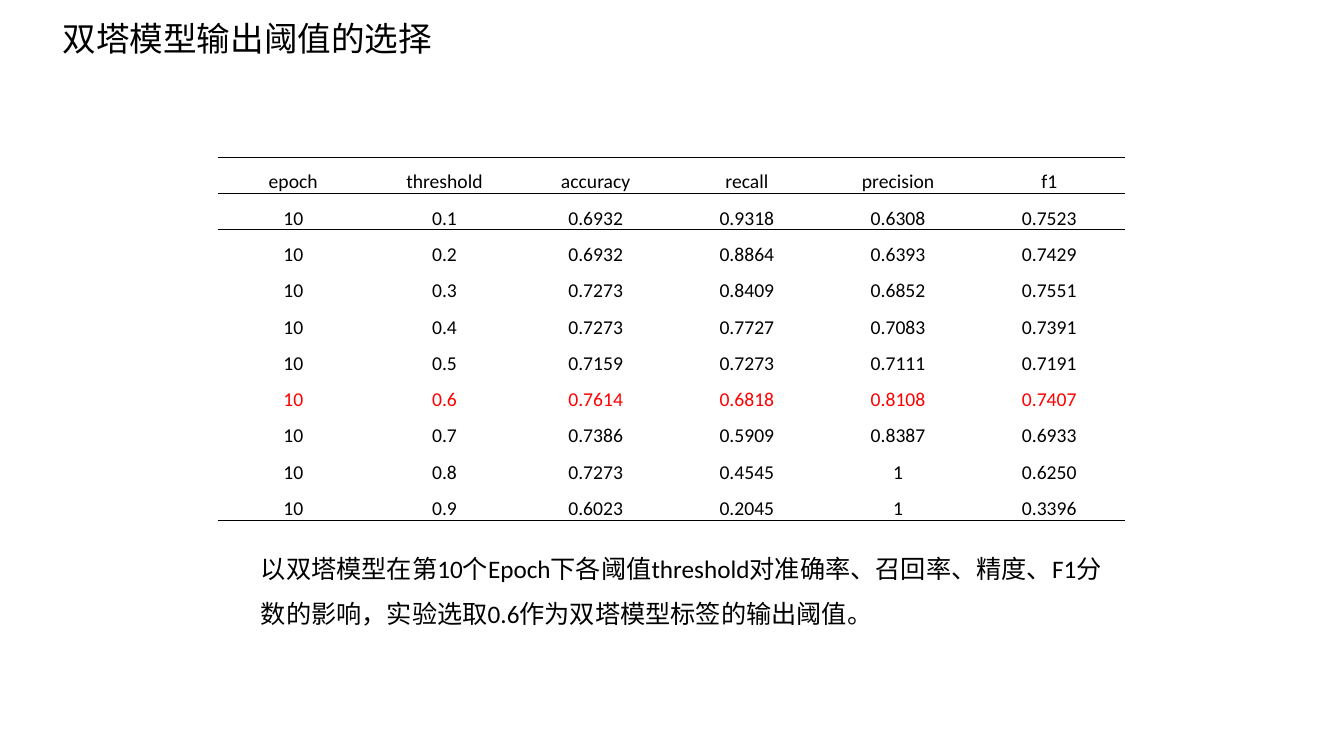
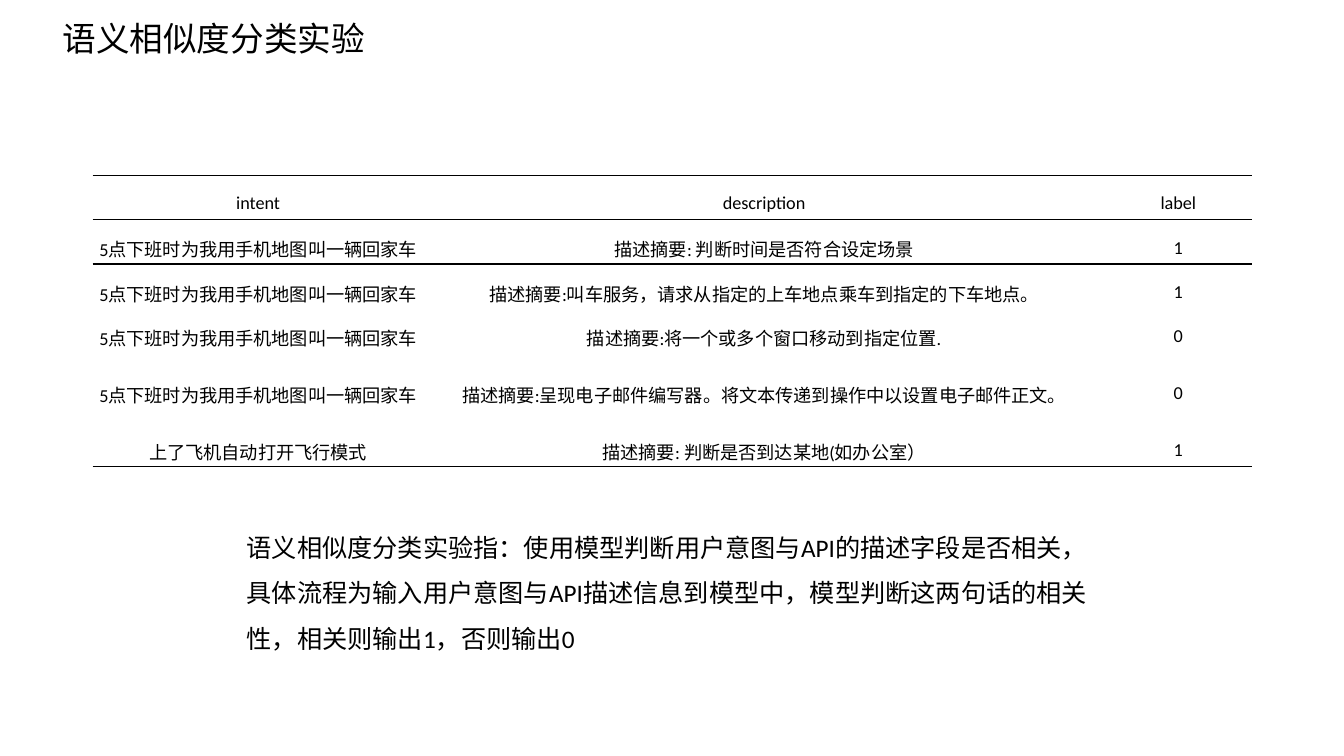
import pptx
import pptx.util
import pptx.dml.color
import pptx.enum.text
import pptx.oxml
import pptx.oxml.ns

PX = 9144  # 100 px to the inch
FONT = "Calibri"
COLORS = {"text": "000000", "accent": "FF0000"}
NO_TABLE_STYLE = "{2D5ABB26-0587-4C30-8999-92F81FD0307C}"
ALIGN = pptx.enum.text.PP_ALIGN
ANCHOR = pptx.enum.text.MSO_ANCHOR
AUTO_SIZE = pptx.enum.text.MSO_AUTO_SIZE


def px(n):
    return pptx.util.Emu(n * PX)


def write(tf, text, size, color="text", align=ALIGN.LEFT, spacing=1.0):
    tf.text = text
    p = tf.paragraphs[0]
    p.alignment = align
    p.line_spacing = spacing
    font = p.runs[0].font
    font.name = FONT
    font.size = pptx.util.Pt(size)
    font.color.rgb = pptx.dml.color.RGBColor.from_string(COLORS[color])


def add_title(slide, text, width):
    sp = slide.shapes.title
    sp.left, sp.top, sp.width, sp.height = px(52), px(13), px(width), px(50)
    tf = sp.text_frame
    write(tf, text, 24)
    tf.word_wrap = False
    tf.auto_size = AUTO_SIZE.SHAPE_TO_FIT_TEXT
    tf.vertical_anchor = ANCHOR.TOP


def add_caption(slide, text, box):
    tf = slide.shapes.add_textbox(*map(px, box)).text_frame
    write(tf, text, 18, spacing=1.5)
    tf.word_wrap = True
    tf.auto_size = AUTO_SIZE.SHAPE_TO_FIT_TEXT


def add_rule(cell, side):
    """Draw a 1 pt rule on the top (lnT) or bottom (lnB) of a cell."""
    cell._tc.get_or_add_tcPr().append(pptx.oxml.parse_xml(
        f'<a:{side} {pptx.oxml.ns.nsdecls("a")} w="12700"><a:solidFill>'
        f'<a:srgbClr val="{COLORS["text"]}"/></a:solidFill></a:{side}>'))


def add_ruled_table(slide, rows, left, top, widths, heights, size, accent_row=None):
    """Three-rule table: above and below the header, and below the last row."""
    table = slide.shapes.add_table(
        len(rows), len(widths), px(left), px(top), px(sum(widths)), px(sum(heights))).table
    table.first_row = table.horz_banding = False
    table._tbl.tblPr.find(pptx.oxml.ns.qn("a:tableStyleId")).text = NO_TABLE_STYLE
    for column, width in zip(table.columns, widths):
        column.width = px(width)
    for i, values in enumerate(rows):
        table.rows[i].height = px(heights[i])
        for j, value in enumerate(values):
            cell = table.cell(i, j)
            cell.margin_left = cell.margin_right = cell.margin_top = px(1)
            cell.margin_bottom = 0
            cell.vertical_anchor = ANCHOR.MIDDLE
            color = "accent" if i == accent_row else "text"
            write(cell.text_frame, value, size, color, ALIGN.CENTER, 1.5)
            if i in (0, 1):
                add_rule(cell, "lnT")
            if i in (0, len(rows) - 1):
                add_rule(cell, "lnB")
            cell.fill.background()


def add_table_slide(prs, title, title_width, table, caption, caption_box):
    slide = prs.slides.add_slide(prs.slide_layouts[5])
    add_title(slide, title, title_width)
    add_ruled_table(slide, **table)
    add_caption(slide, caption, caption_box)


# Threshold scores: accuracy, recall, precision, f1 for 0.1 to 0.9
SCORES = [
    "0.6932 0.9318 0.6308 0.7523",
    "0.6932 0.8864 0.6393 0.7429",
    "0.7273 0.8409 0.6852 0.7551",
    "0.7273 0.7727 0.7083 0.7391",
    "0.7159 0.7273 0.7111 0.7191",
    "0.7614 0.6818 0.8108 0.7407",
    "0.7386 0.5909 0.8387 0.6933",
    "0.7273 0.4545 1 0.6250",
    "0.6023 0.2045 1 0.3396",
]
THRESHOLD_ROWS = [["epoch", "threshold", "accuracy", "recall", "precision", "f1"]] + [
    ["10", f"0.{n}", *scores.split()] for n, scores in enumerate(SCORES, 1)]

# Intent and description pairs
RIDE = "5点下班时为我用手机地图叫一辆回家车"
INTENT_ROWS = [
    ["intent", "description", "label"],
    [RIDE, "描述摘要: 判断时间是否符合设定场景", "1"],
    [RIDE, "描述摘要:叫车服务，请求从指定的上车地点乘车到指定的下车地点。", "1"],
    [RIDE, "描述摘要:将一个或多个窗口移动到指定位置.", "0"],
    [RIDE, "描述摘要:呈现电子邮件编写器。将文本传递到操作中以设置电子邮件正文。", "0"],
    ["上了飞机自动打开飞行模式", "描述摘要: 判断是否到达某地(如办公室）", "1"],
]


def main():
    prs = pptx.Presentation()
    prs.slide_width, prs.slide_height = pptx.util.Emu(12192000), px(750)
    add_table_slide(
        prs, "双塔模型输出阈值的选择", 390,
        dict(rows=THRESHOLD_ROWS, left=216, top=156, widths=[150] * 6,
             heights=[35] * 10, size=14, accent_row=6),
        "以双塔模型在第10个Epoch下各阈值threshold对准确率、召回率、精度、F1分数的影响，"
        "实验选取0.6作为双塔模型标签的输出阈值。",
        (249, 529, 863, 96))
    add_table_slide(
        prs, "语义相似度分类实验", 323,
        dict(rows=INTENT_ROWS, left=92, top=174, widths=[328, 676, 146],
             heights=[44, 44, 44, 44, 69, 44], size=13),
        "语义相似度分类实验指：使用模型判断用户意图与API的描述字段是否相关，"
        "具体流程为输入用户意图与API描述信息到模型中，模型判断这两句话的相关性，"
        "相关则输出1，否则输出0",
        (235, 508, 863, 142))
    prs.save("out.pptx")


if __name__ == "__main__":
    main()
